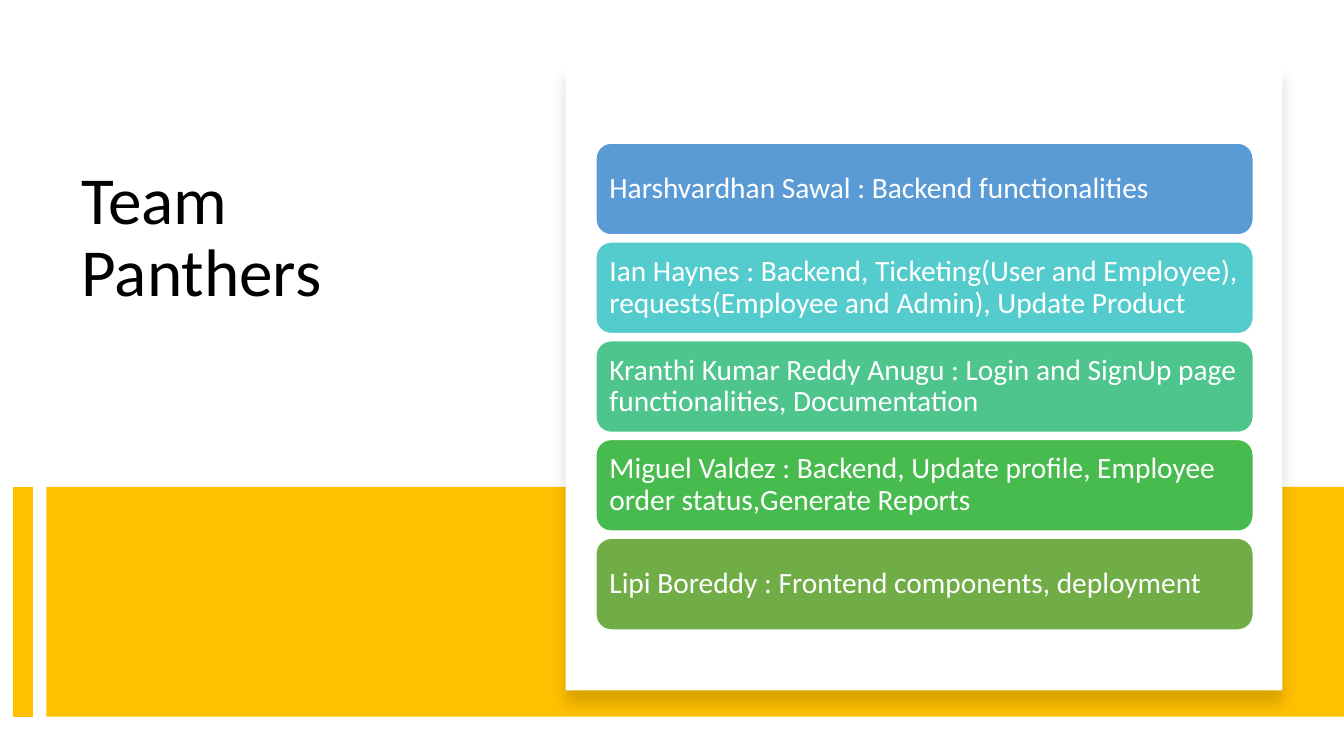
from dataclasses import dataclass

from lxml import etree
from pptx import Presentation
from pptx import util as u
from pptx.dml.color import RGBColor
from pptx.enum import shapes, text
from pptx.oxml import ns

PX = 9144  # EMU per px, 100 px to the inch
FONT = "Calibri"
COLORS = {
    "black": "000000", "white": "FFFFFF", "gold": "FFC000",
    "blue": "5B9BD5", "aqua": "54CCCD", "mint": "4DC58D",
    "green": "48BB4F", "olive": "70AD47",
}


@dataclass(frozen=True)
class Member:
    name: str
    duties: str
    color: str


MEMBERS = [
    Member("Harshvardhan Sawal", "Backend functionalities", "blue"),
    Member("Ian Haynes", "Backend, Ticketing(User and Employee), "
           "requests(Employee and Admin), Update Product", "aqua"),
    Member("Kranthi Kumar Reddy Anugu",
           "Login and SignUp page functionalities, Documentation", "mint"),
    Member("Miguel Valdez",
           "Backend, Update profile, Employee order status,Generate Reports", "green"),
    Member("Lipi Boreddy", "Frontend components, deployment", "olive"),
]
CARD_TOP, CARD_PITCH = 142, 98


def px(n: int) -> int:
    return u.Emu(n * PX)


def rgb(color: str) -> RGBColor:
    return RGBColor.from_string(COLORS[color])


def place(shape, left: int, top: int, width: int, height: int) -> None:
    shape.left, shape.top = px(left), px(top)
    shape.width, shape.height = px(width), px(height)


def write(frame, words: str, size: int, color: str, anchor) -> None:
    frame.text = words
    frame.word_wrap = True
    frame.auto_size = text.MSO_AUTO_SIZE.NONE
    frame.vertical_anchor = anchor
    paragraph = frame.paragraphs[0]
    paragraph.alignment = text.PP_ALIGN.LEFT
    paragraph.line_spacing = 0.9
    font = paragraph.runs[0].font
    font.name, font.size = FONT, u.Pt(size)
    font.color.rgb = rgb(color)


def add_block(slide, kind, color: str, left: int, top: int, width: int, height: int):
    block = slide.shapes.add_shape(kind, px(left), px(top), px(width), px(height))
    block.shadow.inherit = False
    block.fill.solid()
    block.fill.fore_color.rgb = rgb(color)
    block.line.fill.background()
    return block


def add_stripe(slide, color: str, x: int, top: int, bottom: int, weight: int) -> None:
    stripe = slide.shapes.add_connector(
        shapes.MSO_CONNECTOR.STRAIGHT, px(x), px(top), px(x), px(bottom))
    stripe.line.color.rgb = rgb(color)
    stripe.line.width = u.Pt(weight)
    etree.SubElement(stripe._element.spPr, ns.qn("a:effectLst"))


def drop_shadow(shape) -> None:
    effects = shape._element.spPr.find(ns.qn("a:effectLst"))
    shadow = etree.SubElement(
        effects, ns.qn("a:outerShdw"), blurRad=str(u.Pt(11)), dist=str(u.Pt(10)),
        dir="5400000", algn="t", rotWithShape="0")
    tint = etree.SubElement(shadow, ns.qn("a:srgbClr"), val=COLORS["black"])
    etree.SubElement(tint, ns.qn("a:alpha"), val="15000")


def add_card(slide, member: Member, top: int) -> None:
    card = add_block(slide, shapes.MSO_SHAPE.ROUNDED_RECTANGLE, member.color,
                     591, top, 652, 91)
    card.line.color.rgb = rgb("white")
    card.line.width = u.Pt(1)
    frame = card.text_frame
    frame.margin_left = frame.margin_right = px(9)
    frame.margin_top = frame.margin_bottom = px(9)
    write(frame, f"{member.name} : {member.duties}", 21, "white",
          text.MSO_ANCHOR.MIDDLE)


def main() -> None:
    deck = Presentation()
    deck.slide_width, deck.slide_height = px(1333), px(750)
    slide = deck.slides.add_slide(deck.slide_layouts.get_by_name("Title Only"))

    title = slide.shapes.title
    place(title, 71, 160, 415, 294)
    write(title.text_frame, "Team Panthers", 48, "black", text.MSO_ANCHOR.TOP)

    add_block(slide, shapes.MSO_SHAPE.RECTANGLE, "gold", 46, 483, 1287, 228)
    add_stripe(slide, "gold", 23, 483, 711, 14)
    panel = add_block(slide, shapes.MSO_SHAPE.RECTANGLE, "white", 561, 64, 711, 621)
    drop_shadow(panel)

    for row, member in enumerate(MEMBERS):
        add_card(slide, member, CARD_TOP + row * CARD_PITCH)

    deck.save("out.pptx")


if __name__ == "__main__":
    main()
